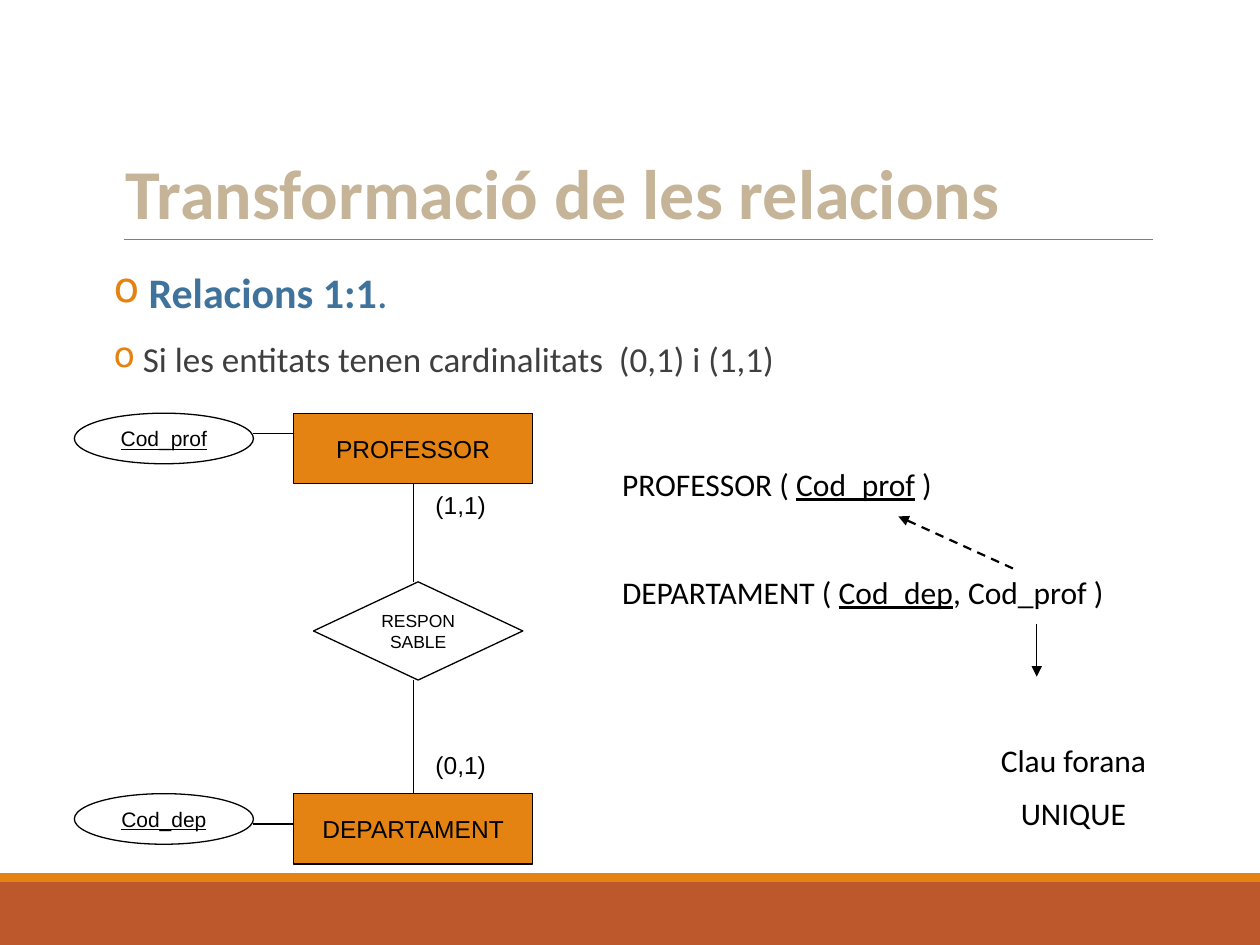
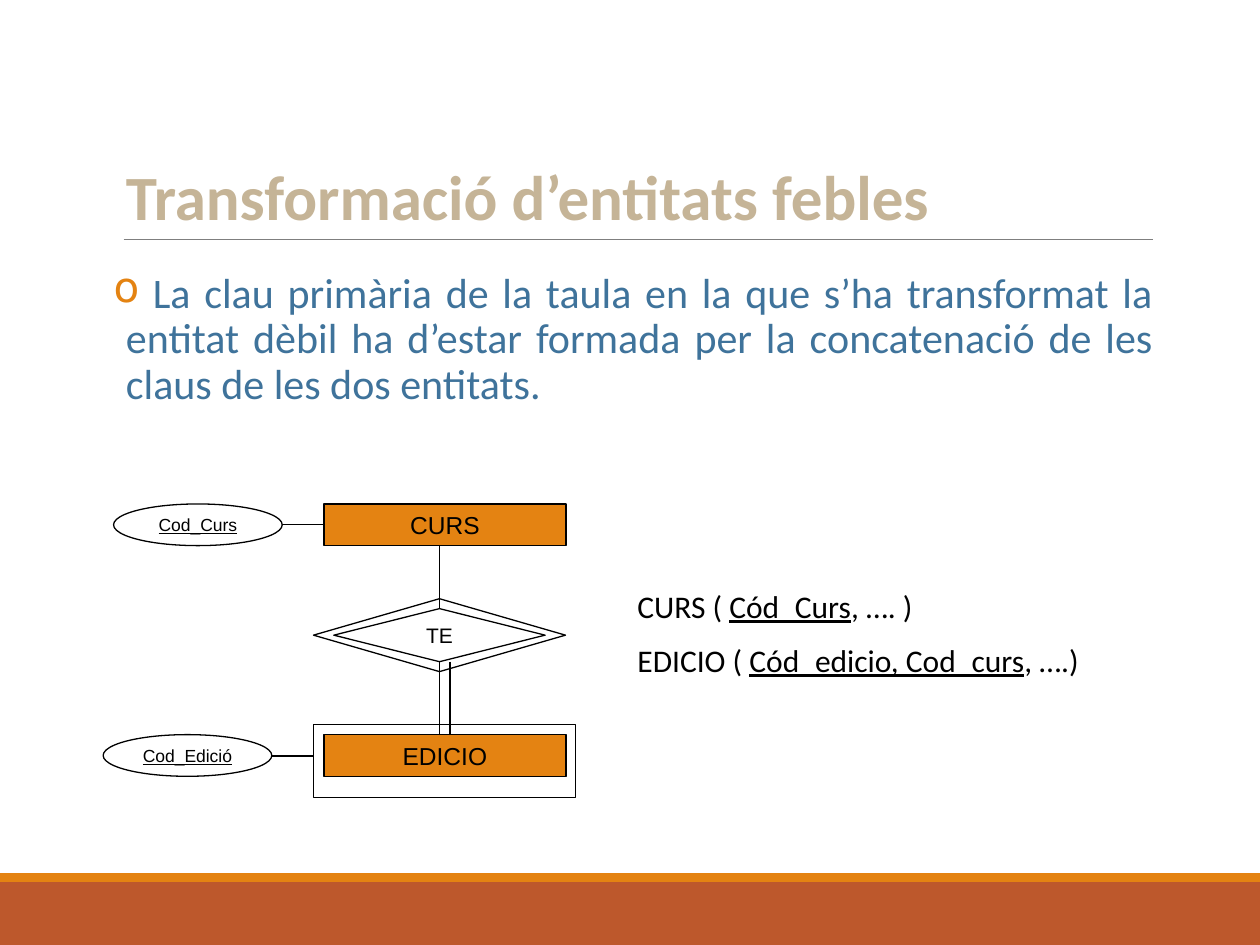
from lxml import etree
from pptx import Presentation
from pptx.dml.color import RGBColor
from pptx.enum.dml import MSO_LINE_DASH_STYLE as DASH
from pptx.enum.shapes import MSO_CONNECTOR, MSO_SHAPE as SHAPE
from pptx.enum.text import MSO_ANCHOR as ANCHOR, PP_ALIGN as ALIGN
from pptx.oxml.ns import qn
from pptx.util import Cm, Pt

ORANGE, RUST, SAND, BLUE = "E48312", "BD582C", "C5B497", "3F739B"
BLACK, WHITE, DARK, GREY = "000000", "FFFFFF", "3F3F3F", "7F7F7F"
RECT, OVAL, DIAMOND = SHAPE.RECTANGLE, SHAPE.OVAL, SHAPE.FLOWCHART_DECISION
TOP, LEFT, BOTTOM = 0, 1, 2

BANDS = [((0, 17.78, 25.4, 1.27), RUST), ((0, 17.6, 25.4, 0.18), ORANGE)]
TITLE_RULE = (2.49, 4.83, 23.24, 4.83)
TITLE_BOX = (2.29, 0.79, 20.96, 4.04)
BODY_BOX = (2.29, 5.36, 20.96, 11.18)

# Runs are (text, style), nodes are (kind, box, fill, text, size),
# links are (points, joined start, joined end).
SLIDES = [
    {
        "title": ("Transformació de les relacions", 40),
        "body": [
            (24, BLUE, -0.43, [(" ", ""), ("Relacions 1:1", "b"), (". ", "")]),
            (20, DARK, -0.36,
             [(" Si les entitats tenen cardinalitats  (0,1) i (1,1)", "")]),
        ],
        "nodes": {
            "professor": (RECT, (5.92, 8.33, 4.82, 1.42), ORANGE, "PROFESSOR", 14),
            "departament": (RECT, (5.92, 16, 4.82, 1.42), ORANGE, "DEPARTAMENT", 14),
            "responsable": (DIAMOND, (6.32, 11.73, 4.22, 1.98), WHITE, "RESPONSABLE", 10),
            "cod_prof": (OVAL, (1.5, 8.33, 3.61, 1.02), None, "Cod_prof", 12),
            "cod_dep": (OVAL, (1.5, 16, 3.61, 1.02), None, "Cod_dep", 12),
        },
        "links": [
            ((8.33, 9.75, 8.33, 11.73), ("professor", BOTTOM), None),
            ((8.33, 16, 8.33, 13.71), ("departament", TOP), None),
            ((5.92, 8.74, 5.11, 8.74), None, None),
            ((5.92, 16.61, 5.11, 16.61), None, None),
        ],
        "cardinalities": [("(1,1)", (8.53, 9.75, 1.6, 0.81)),
                          ("(0,1)", (8.53, 14.99, 1.6, 0.81))],
        "notes": [
            ((12.29, 9.25, 12.7, 3.33), ALIGN.JUSTIFY, 40, [
                [("PROFESSOR ( ", ""), ("Cod_prof", "u"), (" )", "")],
                [("DEPARTAMENT ( ", ""), ("Cod_dep", "u"), (", Cod_prof )", "")]]),
            ((17.9, 14.81, 7.48, 2.18), ALIGN.CENTER, 9,
             [[("Clau forana", "")], [("UNIQUE", "")]]),
        ],
        "arrows": [((20.42, 11.46, 18.11, 10.41), 1.25, DASH.DASH),
                   ((20.9, 12.57, 20.9, 13.64), 0.75, None)],
    },
    {
        "title": ("Transformació d’entitats febles", 36),
        "body": [
            (24, BLUE, -0.43,
             [(" La clau primària de la taula en la que s’ha transformat la "
               "entitat dèbil ha d’estar formada per la concatenació de les "
               "claus de les dos entitats.", "")]),
        ],
        "nodes": {
            "curs": (RECT, (6.53, 10.16, 4.88, 0.84), ORANGE, "CURS", 14),
            "edicio": (RECT, (6.53, 14.81, 4.88, 0.84), ORANGE, "EDICIO", 14),
            "te": (DIAMOND, (6.73, 12.27, 4.26, 1.07), WHITE, "TE", 12),
            "cod_curs": (OVAL, (2.29, 10.16, 3.4, 0.84), None, "Cod_Curs", 10),
            "cod_edicio": (OVAL, (2.08, 14.81, 3.4, 0.84), None, "Cod_Edició", 10),
            "edicio_frame": (RECT, (6.32, 14.61, 5.28, 1.47), None, "", 10),
            "te_frame": (DIAMOND, (6.32, 12.07, 5.08, 1.47), None, "", 10),
        },
        "links": [
            ((8.86, 11, 8.86, 12.27), None, ("te", TOP)),
            ((8.86, 13.34, 8.86, 14.81), ("te", BOTTOM), None),
            ((9.07, 13.34, 9.07, 14.81), None, None),
            ((6.53, 10.58, 5.69, 10.58), ("curs", LEFT), None),
            ((6.32, 15.24, 5.48, 15.24), None, None),
        ],
        "cardinalities": [],
        "notes": [
            ((12.6, 11.71, 12.7, 2.18), ALIGN.JUSTIFY, 9, [
                [("CURS ( ", ""), ("Cód_Curs", "u"), (", …. )", "")],
                [("EDICIO ( ", ""), ("Cód_edicio, Cod_curs", "u"), (", ….)", "")]]),
        ],
        "arrows": [],
    },
]


def rgb(color):
    return RGBColor.from_string(color)


def write(p, runs, size, color=BLACK, name="Calibri", align=ALIGN.LEFT):
    p.alignment = align
    for text, style in runs:
        r = p.add_run()
        r.text = text
        if "b" in style:
            r.font.bold = True
        if "u" in style:
            r.font.underline = True
    for font in (p.font, *(r.font for r in p.runs)):
        font.size, font.name = Pt(size), name
        font.color.rgb = rgb(color)


def paragraphs(tf, count):
    return [tf.paragraphs[0]] + [tf.add_paragraph() for _ in range(count - 1)]


def add_box(s, box):
    tf = s.shapes.add_textbox(*map(Cm, box)).text_frame
    tf.word_wrap = True
    return tf


def add_node(s, kind, box, fill, text="", size=10, line=BLACK):
    sp = s.shapes.add_shape(kind, *map(Cm, box))
    sp.shadow.inherit = False
    if fill:
        sp.fill.solid()
        sp.fill.fore_color.rgb = rgb(fill)
    else:
        sp.fill.background()
    if line:
        sp.line.color.rgb = rgb(line)
        sp.line.width = Pt(0.75)
    else:
        sp.line.fill.background()
    if text:
        tf = sp.text_frame
        tf.word_wrap, tf.vertical_anchor = True, ANCHOR.MIDDLE
        style = "u" if kind == OVAL else ""
        write(tf.paragraphs[0], [(text, style)], size, BLACK, "Arial", ALIGN.CENTER)
    return sp


def add_line(s, points, color=BLACK, width=0.75, dash=None, arrow=False):
    c = s.shapes.add_connector(MSO_CONNECTOR.STRAIGHT, *map(Cm, points))
    c.line.color.rgb = rgb(color)
    c.line.width = Pt(width)
    if dash:
        c.line.dash_style = dash
    if arrow:
        etree.SubElement(c.line._get_or_add_ln(), qn("a:tailEnd"), type="triangle")
    etree.SubElement(c._element.spPr, qn("a:effectLst"))
    return c


def add_bullet(p, indent):
    pPr = p._p.get_or_add_pPr()
    pPr.set("marL", str(Cm(0.25)))
    pPr.set("indent", str(Cm(indent)))
    color = etree.Element(qn("a:buClr"))
    etree.SubElement(color, qn("a:srgbClr"), val=ORANGE)
    char = etree.Element(qn("a:buChar"), char="o")
    font = pPr.find(qn("a:defRPr"))
    font.addprevious(color)
    font.addprevious(char)


def add_frame(s, title, body):
    for box, fill in BANDS:
        add_node(s, RECT, box, fill, line=None)
    add_line(s, TITLE_RULE, GREY)
    tf = add_box(s, TITLE_BOX)
    tf.vertical_anchor = ANCHOR.BOTTOM
    p = tf.paragraphs[0]
    p.line_spacing = 0.85
    write(p, [(title[0], "b")], title[1], SAND)
    tf = add_box(s, BODY_BOX)
    tf.margin_left = tf.margin_right = 0
    for i, p in enumerate(paragraphs(tf, len(body))):
        size, color, indent, runs = body[i]
        p.line_spacing = 0.9
        p.space_before = Pt(14 if i else 0)
        write(p, runs, size, color, align=ALIGN.JUSTIFY)
        add_bullet(p, indent)


def add_diagram(s, data):
    nodes = {key: add_node(s, *node) for key, node in data["nodes"].items()}
    for points, start, end in data["links"]:
        c = add_line(s, points)
        if start:
            c.begin_connect(nodes[start[0]], start[1])
        if end:
            c.end_connect(nodes[end[0]], end[1])
    for text, box in data["cardinalities"]:
        write(add_box(s, box).paragraphs[0], [(text, "")], 14, name="Arial")


def add_notes(s, data):
    for box, align, gap, lines in data["notes"]:
        tf = add_box(s, box)
        for i, p in enumerate(paragraphs(tf, len(lines))):
            p.space_before = Pt(gap if i else 0)
            write(p, lines[i], 18, align=align)
    for points, width, dash in data["arrows"]:
        add_line(s, points, BLACK, width, dash, arrow=True)


def main():
    """Build the slides on turning relations and weak entities into tables."""
    prs = Presentation()
    prs.slide_width, prs.slide_height = Cm(25.4), Cm(19.05)
    for data in SLIDES:
        s = prs.slides.add_slide(prs.slide_layouts[6])
        add_frame(s, data["title"], data["body"])
        add_diagram(s, data)
        add_notes(s, data)
    prs.save("out.pptx")


if __name__ == "__main__":
    main()
